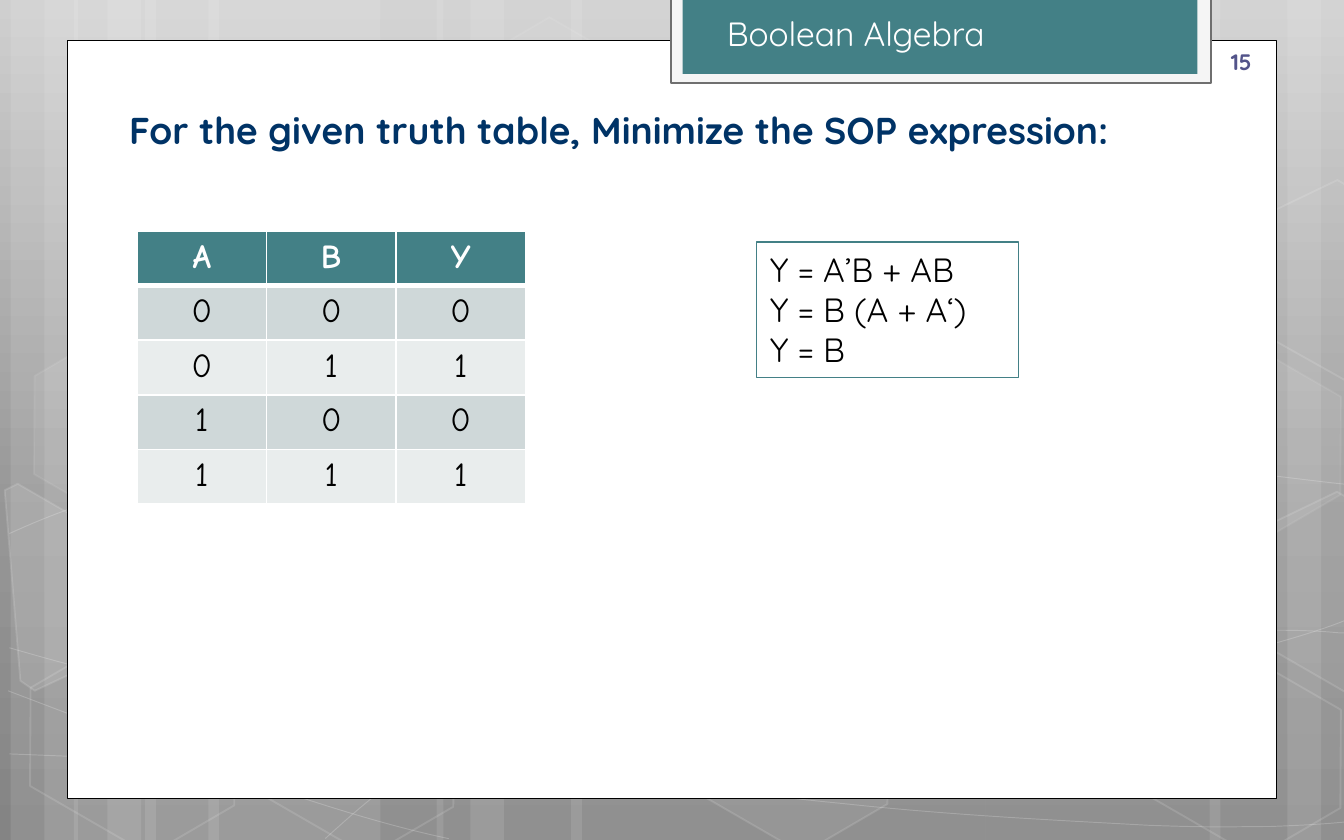
import math

from lxml import etree
from pptx import Presentation
from pptx import util as u
from pptx.dml.color import RGBColor
from pptx.enum import shapes, text
from pptx.oxml.ns import qn

PX = 9144  # 100 px to the inch

WHITE = RGBColor(0xFF, 0xFF, 0xFF)
BLACK = RGBColor(0, 0, 0)
TEAL = RGBColor(0x43, 0x80, 0x86)
NAVY = RGBColor(0x00, 0x33, 0x66)
PURPLE = RGBColor(0x53, 0x54, 0x8A)
TAB_FILL = RGBColor(0xF5, 0xF5, 0xF5)
TAB_LINE = RGBColor(0x6F, 0x6F, 0x6F)
ROW_DARK = RGBColor(0xCF, 0xD8, 0xD9)
ROW_LIGHT = RGBColor(0xE9, 0xED, 0xED)
BACKDROP = [(0, "CFCFCF"), (62, "969696"), (100, "848484")]


def paint(shape, fill=None, line=None, width=1, alphas=()):
    """Set fill and line; alphas are opacity percents in fill, line order."""
    shape.shadow.inherit = False
    if fill is None:
        shape.fill.background()
    else:
        shape.fill.solid()
        shape.fill.fore_color.rgb = fill
    if line is None:
        shape.line.fill.background()
    else:
        shape.line.color.rgb = line
        shape.line.width = u.Pt(width)
    colors = shape._element.spPr.iter(qn("a:srgbClr"))
    for color, alpha in zip(list(colors), alphas):
        etree.SubElement(color, qn("a:alpha"), val=str(alpha * 1000))


def write(frame, lines, size, color, font="Quicksand", bold=False,
          align=text.PP_ALIGN.LEFT, anchor=text.MSO_ANCHOR.TOP):
    frame.word_wrap = True
    frame.vertical_anchor = anchor
    for index, line in enumerate(lines):
        para = frame.paragraphs[0] if index == 0 else frame.add_paragraph()
        para.alignment = align
        span = para.add_run()
        span.text = line
        span.font.name = font
        span.font.size = u.Pt(size)
        span.font.bold = bold
        span.font.color.rgb = color


deck = Presentation()
deck.slide_width, deck.slide_height = 1000 * PX, 625 * PX
page = deck.slides.add_slide(deck.slide_layouts[5])
RECT = shapes.MSO_SHAPE.RECTANGLE

# Grey backdrop, light at the top
backdrop = page.background.fill
backdrop.gradient()
backdrop.gradient_angle = 270
stops = page.background._cSld.find(".//" + qn("a:gsLst"))
for stop in list(stops):
    stops.remove(stop)
for position, tone in BACKDROP:
    stop = etree.SubElement(stops, qn("a:gs"), pos=str(position * 1000))
    etree.SubElement(stop, qn("a:srgbClr"), val=tone)

# Translucent vertical bars
for left, width in [(108, 175), (8, 50), (33, 83), (155, 175), (55, 50), (80, 83),
                    (733, 175), (958, 50), (900, 83), (425, 308), (325, 50), (350, 83)]:
    bar = page.shapes.add_shape(RECT, left * PX, 0, width * PX, 625 * PX)
    paint(bar, WHITE, alphas=[10])

# Sweeping curves: a start point, then two controls and an end per segment
curves = [
    [(7, 561), (61, 563), (115, 566), (190, 565), (265, 564), (358, 563), (458, 554),
     (558, 546), (700, 530), (792, 514), (883, 498), (977, 473), (1007, 459)],
    [(7, 397), (36, 384), (65, 372), (121, 359), (178, 347), (259, 329), (347, 323),
     (436, 316), (544, 316), (654, 323), (764, 329), (947, 355), (1007, 361)],
    [(6, 514), (127, 560), (247, 606), (334, 624)],
    [(7, 482), (38, 491), (70, 500), (128, 513), (186, 526), (273, 546), (357, 561),
     (440, 575), (545, 590), (628, 598), (711, 607), (800, 611), (853, 614),
     (905, 616), (919, 615), (945, 615), (971, 614), (989, 613), (1007, 611)],
    [(242, 624), (260, 608), (278, 591), (302, 576), (326, 560), (360, 544), (388, 532),
     (416, 521), (433, 516), (470, 508), (506, 499), (573, 487), (608, 482),
     (644, 476), (649, 476), (680, 474), (711, 472), (760, 470), (794, 469),
     (829, 468), (886, 469), (886, 469), (886, 469), (953, 469), (953, 469),
     (971, 469), (988, 470), (997, 471), (1006, 471), (1003, 471), (1006, 472)],
]
for curve in curves:
    builder = page.shapes.build_freeform(*curve[0], scale=PX)
    builder.add_line_segments(curve[1:], close=False)
    sweep = builder.convert_to_shape()
    # Every three straight steps become one Bezier segment
    outline = sweep._element.find(".//" + qn("a:path"))
    steps = outline.findall(qn("a:lnTo"))
    for first in range(0, len(steps), 3):
        bezier = etree.SubElement(outline, qn("a:cubicBezTo"))
        for step in steps[first:first + 3]:
            bezier.append(step[0])
            outline.remove(step)
    paint(sweep, line=WHITE, width=0.5, alphas=[20])

# Hexagons: left, top, fill opacity (None for no fill), line opacity
for left, top, fill_alpha, line_alpha in [
        (334, 30, 4, 8), (497, 491, 6, 12), (11, 492, None, 12), (14, 260, 7, 8),
        (174, 493, None, 12), (753, 378, 10, 12), (834, 494, None, 12), (834, 261, 7, 8)]:
    hexagon = page.shapes.add_shape(shapes.MSO_SHAPE.HEXAGON, left * PX, top * PX,
                                    175 * PX, 127 * PX)
    hexagon.adjustments[0] = 0.285
    hexagon.rotation = 30
    if fill_alpha:
        paint(hexagon, WHITE, WHITE, 1, [fill_alpha, line_alpha])
    else:
        paint(hexagon, None, WHITE, 1, [line_alpha])

# Hexagons cut off by the slide edges: turned back about their centre, then rotated
COS, SIN = math.cos(math.radians(30)), math.sin(math.radians(30))
for fill_alpha, (x, y), corners in [
        (10, (36, 446), [(3, 365), (13, 360), (89, 404), (95, 481), (26, 514), (15, 507)]),
        (4, (985, 433), [(926, 399), (995, 366), (1002, 370), (1015, 517), (1009, 520),
                         (932, 475)]),
        (None, (985, 201), [(926, 167), (995, 134), (1003, 139), (1015, 285), (1009, 288),
                            (932, 244)])]:
    level = [(x + (a - x) * COS + (b - y) * SIN, y - (a - x) * SIN + (b - y) * COS)
             for a, b in corners]
    builder = page.shapes.build_freeform(*level[0], scale=PX)
    builder.add_line_segments(level[1:], close=True)
    piece = builder.convert_to_shape()
    piece.rotation = 30
    if fill_alpha:
        paint(piece, WHITE, WHITE, 1, [fill_alpha, 12])
    else:
        paint(piece, None, WHITE, 1, [12])

# White panel and the header tab
for (left, top, width, height), fill, line, weight in [
        ((50, 30, 900, 564), WHITE, BLACK, 0.5),
        ((499, -2, 402, 64), TAB_FILL, TAB_LINE, 1.25),
        ((508, -2, 383, 57), TEAL, None, 0)]:
    panel = page.shapes.add_shape(RECT, left * PX, top * PX, width * PX, height * PX)
    paint(panel, fill, line, weight)

# Title, brought in front of the panel
title = page.shapes.title
title._element.getparent().append(title._element)
title.left, title.top, title.width, title.height = 86 * PX, 75 * PX, 836 * PX, 44 * PX
write(title.text_frame, ["For the given truth table, Minimize the SOP expression:"],
      20, NAVY, bold=True, align=text.PP_ALIGN.JUSTIFY)

# Page number and topic
number = page.shapes.add_textbox(906 * PX, 33 * PX, 146 * PX, 25 * PX)
write(number.text_frame, ["15"], 12, PURPLE, bold=True, anchor=text.MSO_ANCHOR.MIDDLE)
topic = page.shapes.add_textbox(531 * PX, 5 * PX, 258 * PX, 40 * PX)
write(topic.text_frame, ["Boolean Algebra"], 18, WHITE)

# Truth table
truth = ["ABY", "000", "011", "100", "111"]
table = page.shapes.add_table(5, 3, 102 * PX, 172 * PX, 289 * PX, 203 * PX).table
for r, values in enumerate(truth):
    header = r == 0
    for c, value in enumerate(values):
        cell = table.cell(r, c)
        write(cell.text_frame, [value], 18, WHITE if header else BLACK, font="Comic Neue",
              bold=header, align=text.PP_ALIGN.CENTER)
        properties = cell._tc.get_or_add_tcPr()
        for side in "LRTB":
            thick = (header and side == "B") or (r == 1 and side == "T")
            border = etree.SubElement(properties, qn("a:ln" + side),
                                      w=str(u.Pt(3 if thick else 1)))
            ink = etree.SubElement(border, qn("a:solidFill"))
            etree.SubElement(ink, qn("a:srgbClr"), val=str(WHITE))
        cell.fill.solid()
        cell.fill.fore_color.rgb = TEAL if header else ROW_DARK if r % 2 else ROW_LIGHT

# Minimised expression
answer = page.shapes.add_shape(RECT, 563 * PX, 180 * PX, 195 * PX, 101 * PX)
paint(answer, line=TEAL, width=0.75)
write(answer.text_frame, ["Y = A’B + AB", "Y = B (A + A‘)", "Y = B"], 18, BLACK)

deck.save("out.pptx")
